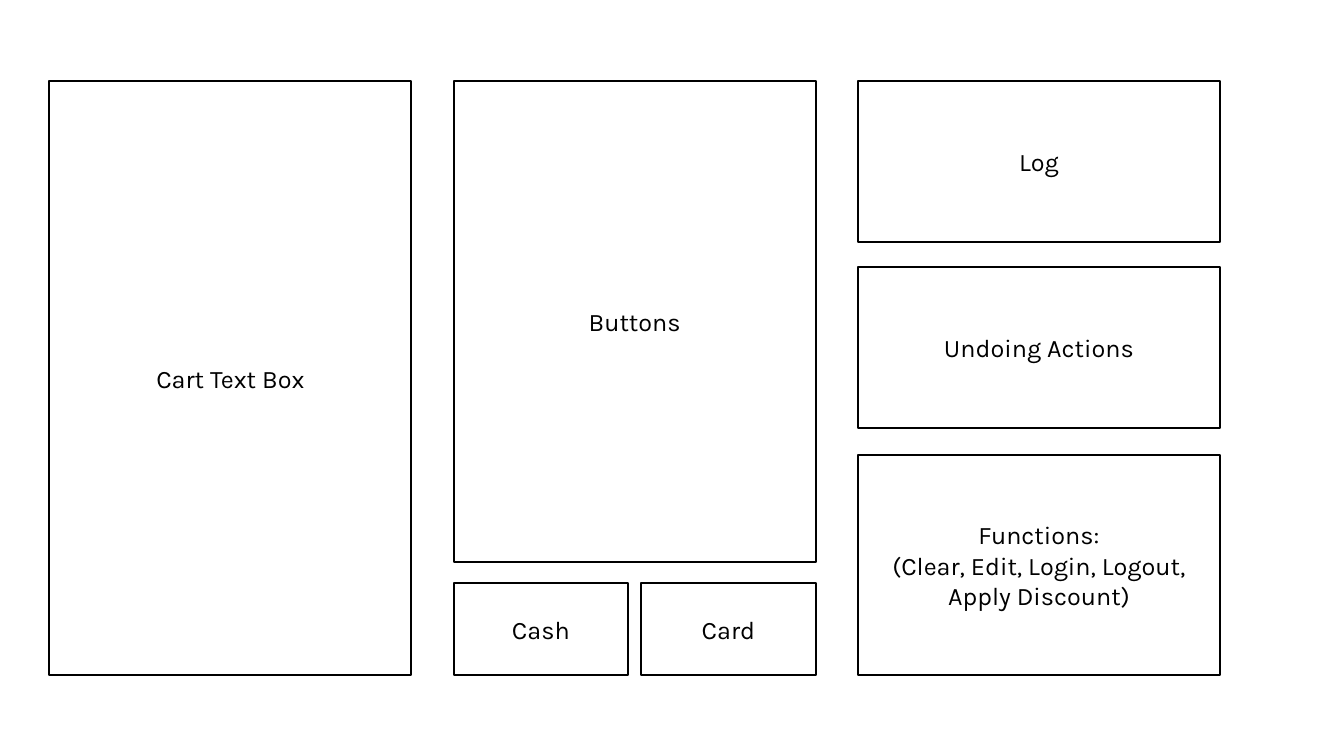
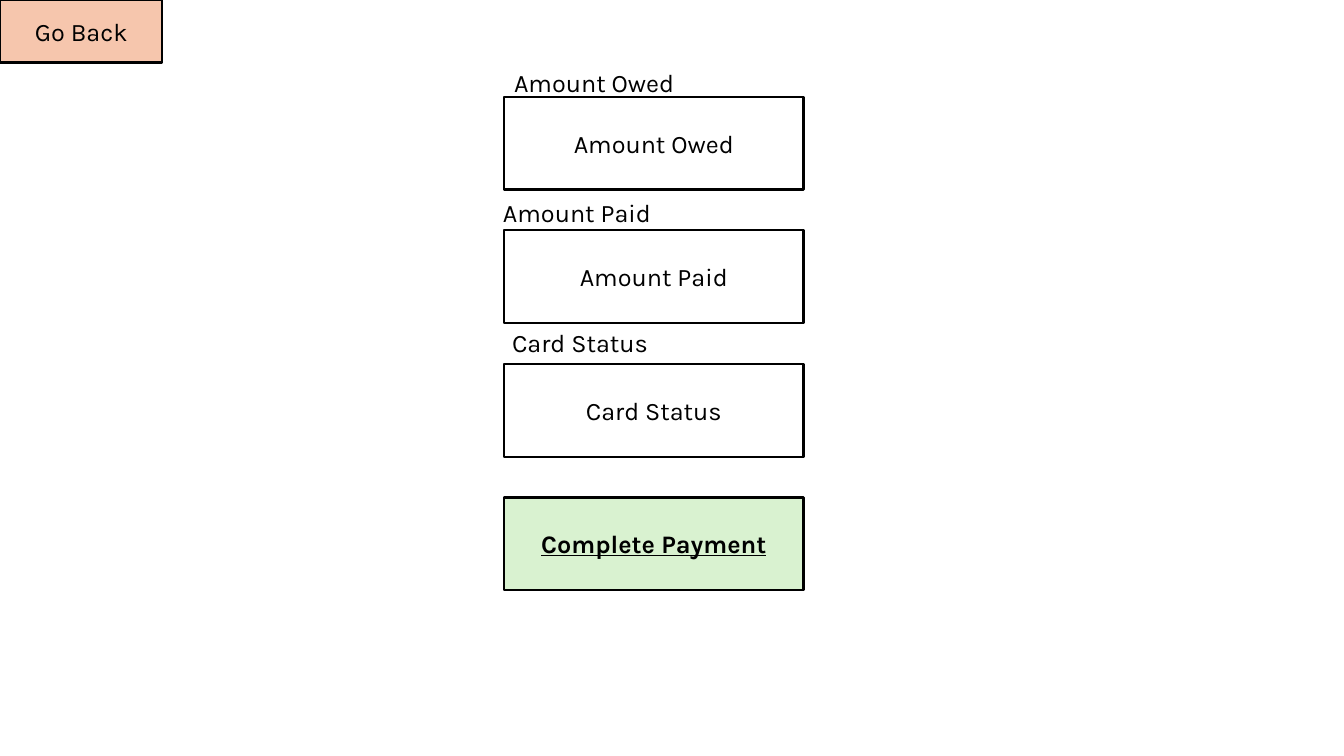
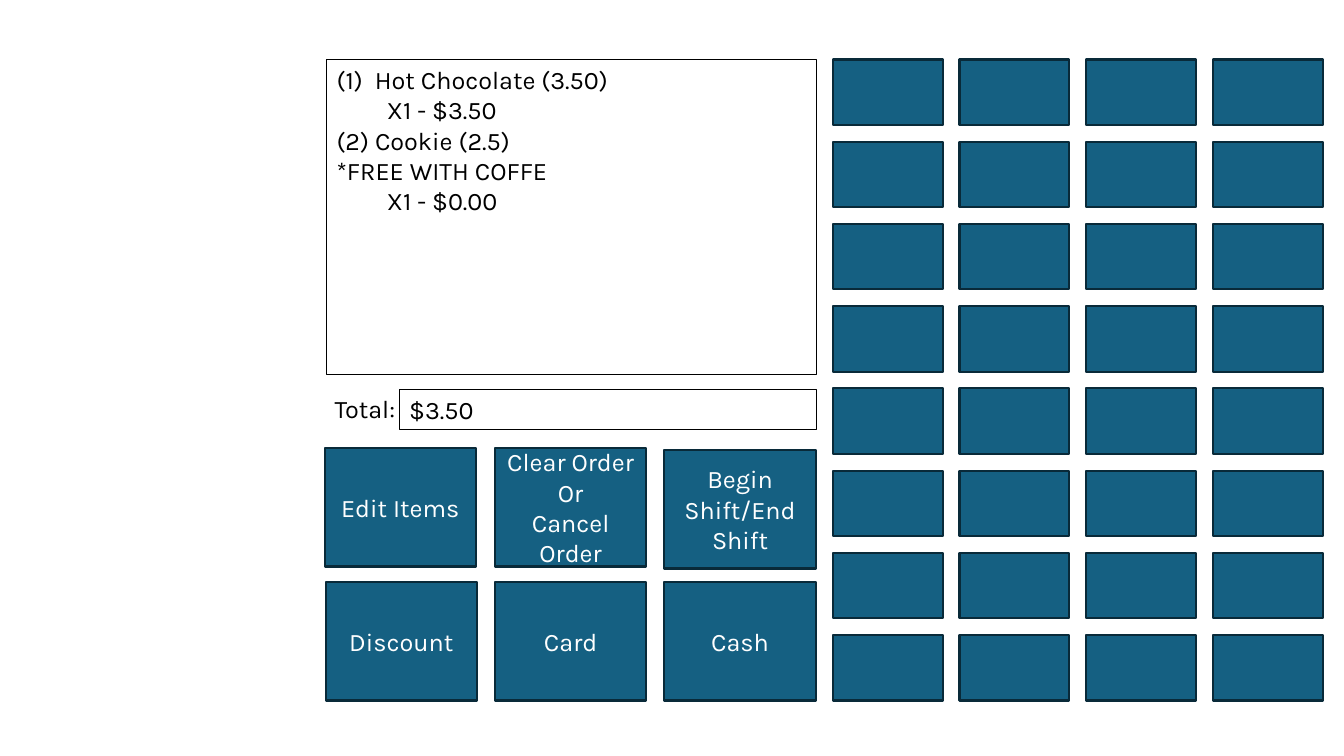
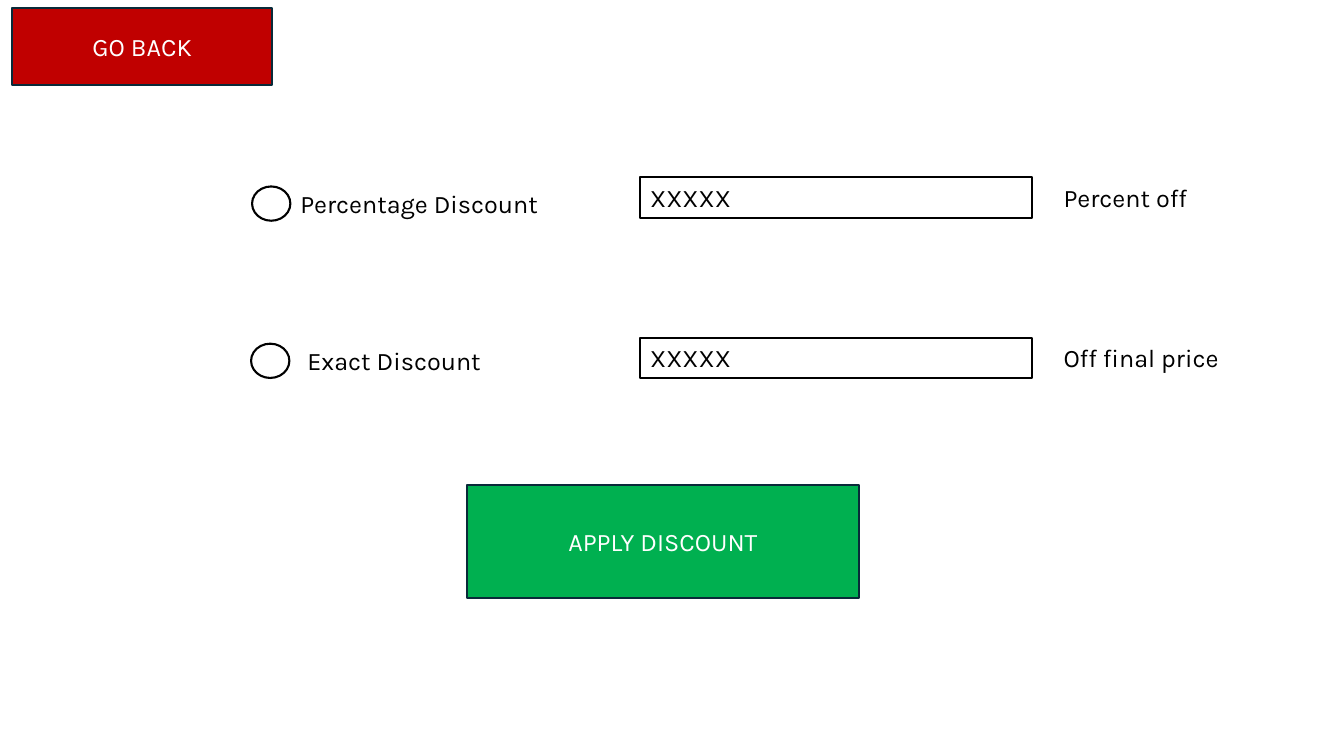
from lxml import etree
from pptx import Presentation
from pptx.dml.color import RGBColor
from pptx.enum.shapes import MSO_SHAPE as Preset
from pptx.enum.text import MSO_ANCHOR as Anchor, PP_ALIGN as Align
from pptx.oxml.ns import qn
from pptx.util import Inches, Pt

BLACK, WHITE, NAVY = "000000", "FFFFFF", "092A39"
FRAME = {"fill": None, "line": BLACK, "weight": 1.5, "color": BLACK,
         "align": Align.CENTER, "anchor": Anchor.MIDDLE}
FIELD = {**FRAME, "align": Align.LEFT, "anchor": Anchor.TOP}
BUTTON = {**FRAME, "fill": "156082", "line": NAVY, "color": WHITE}
THEME = {
    "font": {"name": "Karla", "size": Pt(18)},
    "frame": FRAME,
    "white field": {**FIELD, "fill": WHITE},
    "thin field": {**FIELD, "weight": 0.75},
    "label": {**FIELD, "line": None},
    "button": BUTTON,
    "peach button": {**FRAME, "fill": "F6C6AD"},
    "mint button": {**FRAME, "fill": "D9F2D0", "font": {"bold": True, "underline": True}},
    "green button": {**BUTTON, "fill": "00B050"},
    "red button": {**BUTTON, "fill": "C00000"},
}


def add_box(slide, style, left, top, width, height, text="", preset=Preset.RECTANGLE):
    """Add a styled box; a style without fill and line gives a plain text box."""
    look = THEME[style]
    area = [Inches(value) for value in (left, top, width, height)]
    if look["fill"] or look["line"]:
        shape = slide.shapes.add_shape(preset, *area)
        shape.shadow.inherit = False
        shape.line.color.rgb = RGBColor.from_string(look["line"])
        shape.line.width = Pt(look["weight"])
        if look["fill"]:
            shape.fill.solid()
            shape.fill.fore_color.rgb = RGBColor.from_string(look["fill"])
        else:
            shape.fill.background()
    else:
        shape = slide.shapes.add_textbox(*area)
    frame = shape.text_frame
    frame.word_wrap = True
    frame.vertical_anchor = look["anchor"]
    frame.text = text
    for paragraph in frame.paragraphs:
        paragraph.alignment = look["align"]
        for run in paragraph.runs:
            for name, value in {**THEME["font"], **look.get("font", {})}.items():
                setattr(run.font, name, value)
            run.font.color.rgb = RGBColor.from_string(look["color"])
    return shape


presentation = Presentation()
presentation.slide_width = Inches(13.33)
presentation.slide_height = Inches(7.5)
layout_slide, payment_slide, register_slide, discount_slide = [
    presentation.slides.add_slide(presentation.slide_layouts[6]) for _ in range(4)]

# Screen areas
COLUMN_WIDTH = 3.59
cart_left, button_left, tool_left = [0.49 + 4.01 * column for column in range(3)]
for left, top, width, height, text in [
    (cart_left, 0.8, COLUMN_WIDTH, 5.9, "Cart Text Box"),
    (button_left, 0.8, COLUMN_WIDTH, 4.78, "Buttons"),
    (tool_left, 0.8, COLUMN_WIDTH, 1.6, "Log"),
    (tool_left, 2.65, COLUMN_WIDTH, 1.6, "Undoing Actions"),
    (tool_left, 4.51, COLUMN_WIDTH, 2.19,
     "Functions:\v(Clear, Edit, Login, Logout, Apply Discount)"),
    (button_left, 5.78, 1.73, 0.92, "Cash"),
    (button_left + 1.86, 5.78, 1.73, 0.92, "Card"),
]:
    add_box(layout_slide, "frame", left, top, width, height, text)

# Card payment
add_box(payment_slide, "peach button", 0, 0, 1.61, 0.62, "Go Back")
for row, (style, text) in enumerate([
    ("frame", "Amount Owed"), ("frame", "Amount Paid"),
    ("frame", "Card Status"), ("mint button", "Complete Payment"),
]):
    add_box(payment_slide, style, 5, 0.96 + 1.325 * row, 2.97, 0.92, text)
for left, top, text in [
    (5, 0.62, "Amount Owed"), (4.89, 1.91, "Amount Paid"), (4.98, 3.2, "Card Status"),
]:
    add_box(payment_slide, "label", left, top, 3.75, 0.4, text)

# Cash register
COLUMNS, ROWS = 4, 8
column_step = (12.03 - 8.26) / (COLUMNS - 1)
row_step = (6.3 - 0.59) / (ROWS - 1)
for column in range(COLUMNS):
    for row in range(ROWS):
        add_box(register_slide, "button", 8.26 + column_step * column,
                0.59 + row_step * row, 1.09, 0.65)

cart = add_box(register_slide, "thin field", 3.24, 0.59, 4.86, 3.13, "\n".join([
    "Hot Chocolate (3.50)", "\tX1 - $3.50", "(2) Cookie (2.5)",
    "*FREE WITH COFFE", "\tX1 - $0.00"]))
numbered = cart.text_frame.paragraphs[0]._p.get_or_add_pPr()
numbered.set("marL", str(Inches(0.38)))
numbered.set("indent", str(-Inches(0.38)))
etree.SubElement(numbered, qn("a:buFont"), typeface="+mj-lt")
etree.SubElement(numbered, qn("a:buAutoNum"), type="arabicParenBoth")

for left, top, text in [
    (3.22, 4.44, "Edit Items"),
    (4.91, 4.44, "Clear Order\nOr\nCancel Order"),
    (6.59, 4.46, "Begin Shift/End Shift"),
    (3.23, 5.77, "Discount"),
    (4.91, 5.77, "Card"),
    (6.59, 5.77, "Cash"),
]:
    add_box(register_slide, "button", left, top, 1.5, 1.18, text)
add_box(register_slide, "label", 3.22, 3.85, 4.86, 0.4, "Total:")
add_box(register_slide, "thin field", 3.96, 3.86, 4.14, 0.4, "$3.50")

# Discount form
for top, circle_left, label_left, label_top, label, unit in [
    (1.76, 2.5, 2.88, 1.82, "Percentage Discount", "Percent off"),
    (3.35, 2.49, 2.95, 3.38, "Exact Discount", "Off final price"),
]:
    add_box(discount_slide, "white field", circle_left, label_top + 0.03, 0.38, 0.34,
            preset=Preset.OVAL)
    add_box(discount_slide, "label", label_left, label_top, 4.2, 0.4, label)
    add_box(discount_slide, "white field", 6.35, top, 3.89, 0.4, "XXXXX")
    add_box(discount_slide, "label", 10.45, top, 2.13, 0.4, unit)
add_box(discount_slide, "green button", 4.63, 4.81, 3.89, 1.12, "APPLY DISCOUNT")
add_box(discount_slide, "red button", 0.12, 0.08, 2.58, 0.76, "GO BACK")

presentation.save("out.pptx")
